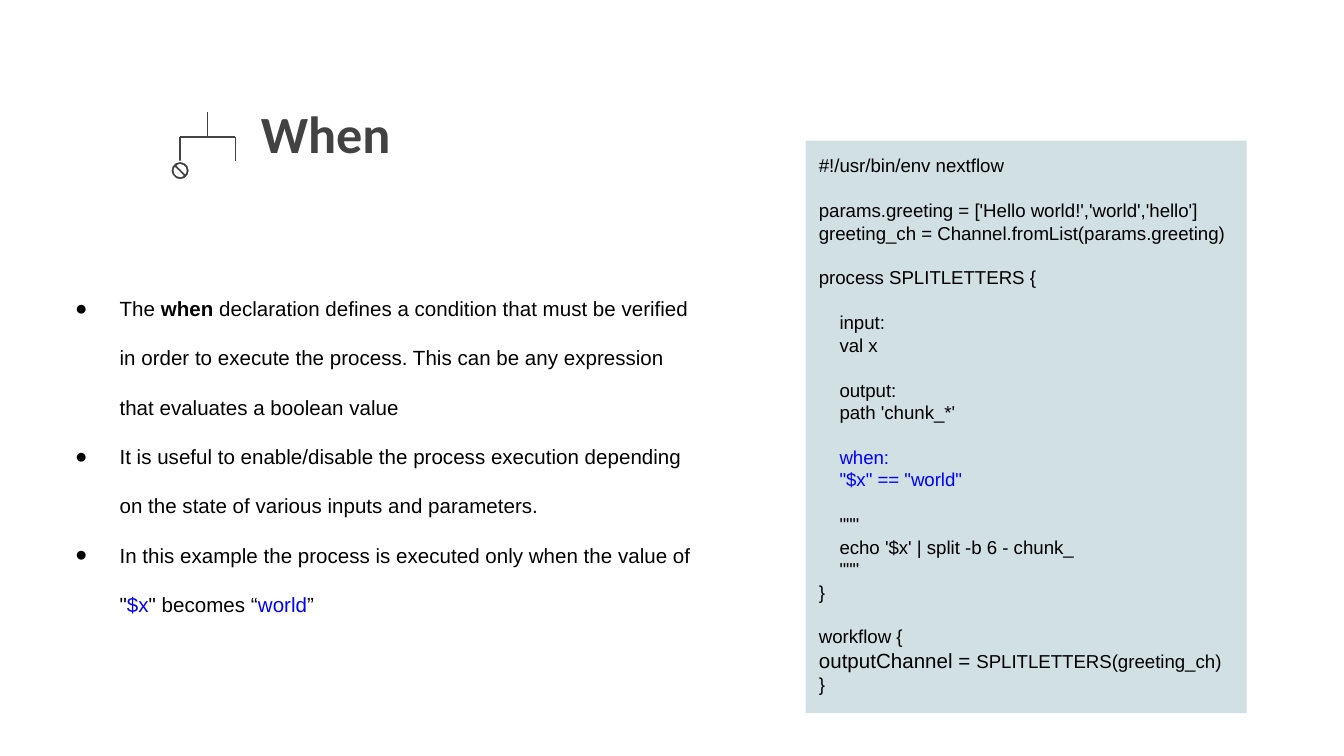
from lxml import etree
from pptx import Presentation
from pptx.dml.color import RGBColor
from pptx.enum.shapes import MSO_CONNECTOR, MSO_SHAPE
from pptx.enum.text import MSO_ANCHOR, MSO_AUTO_SIZE, PP_ALIGN
from pptx.oxml.ns import qn
from pptx.util import Pt

RECT, NO_SMOKING = MSO_SHAPE.RECTANGLE, MSO_SHAPE.NO_SYMBOL
STRAIGHT = MSO_CONNECTOR.STRAIGHT
TOP, LEFT, NO_FIT = MSO_ANCHOR.TOP, PP_ALIGN.LEFT, MSO_AUTO_SIZE.NONE

BLACK = RGBColor(0x00, 0x00, 0x00)
WHITE = RGBColor(0xFF, 0xFF, 0xFF)
BLUE = RGBColor(0x00, 0x00, 0xFF)
GREY = RGBColor(0x42, 0x42, 0x42)
PANEL = RGBColor(0xD0, 0xE0, 0xE3)

TITLE = "When"

# Each bullet is a list of (text, colour, bold)
BULLETS = [
    [("The ", BLACK, False), ("when", BLACK, True),
     (" declaration defines a condition that must be verified in order to execute "
      "the process. This can be any expression that evaluates a boolean value", BLACK, False)],
    [("It is useful to enable/disable the process execution depending on the state "
      "of various inputs and parameters.", BLACK, False)],
    [("In this example the process is executed only when the value of \"", BLACK, False),
     ("$x", BLUE, False), ("\" becomes “", BLACK, False),
     ("world", BLUE, False), ("”", BLACK, False)],
]

CODE = '''#!/usr/bin/env nextflow

params.greeting = ['Hello world!','world','hello']
greeting_ch = Channel.fromList(params.greeting)

process SPLITLETTERS {

    input:
    val x

    output:
    path 'chunk_*'

    when:
    "$x" == "world"

    """
    echo '$x' | split -b 6 - chunk_
    """
}

workflow {
outputChannel = SPLITLETTERS(greeting_ch)
}'''.split("\n")
BLUE_LINES = ("    when:", '    "$x" == "world"')
LARGE_START = "outputChannel = "

# Branch icon: stem over a bar with two legs
BRANCH_LEFT, BRANCH_RIGHT = 96.5, 126
BRANCH_TOP, BRANCH_BAR, BRANCH_FOOT = 60, 73.4, 86.4
SIGN = 10


def place(sp, left, top, width, height):
    """Position a shape and give its text frame the common layout."""
    sp.left, sp.top, sp.width, sp.height = Pt(left), Pt(top), Pt(width), Pt(height)
    tf = sp.text_frame
    tf.margin_left = tf.margin_right = tf.margin_top = tf.margin_bottom = Pt(7.2)
    tf.word_wrap, tf.auto_size, tf.vertical_anchor = True, NO_FIT, TOP
    return tf


def add_run(p, text, size, color, bold=False, name="Arial"):
    r = p.add_run()
    r.text = text
    r.font.size, r.font.name, r.font.bold = Pt(size), name, bold
    r.font.color.rgb = color


def add_paragraph(tf, first, spacing=1):
    p = tf.paragraphs[0] if first else tf.add_paragraph()
    p.alignment, p.line_spacing = LEFT, spacing
    p.space_before = p.space_after = Pt(0)
    return p


def add_bullet(p):
    pPr = p._p.get_or_add_pPr()
    pPr.set("marL", str(Pt(36)))
    pPr.set("indent", str(-Pt(23.8)))
    color = etree.SubElement(pPr, qn("a:buClr"))
    etree.SubElement(color, qn("a:srgbClr"), val=str(BLACK))
    etree.SubElement(pPr, qn("a:buFont"), typeface="Arial")
    etree.SubElement(pPr, qn("a:buChar"), char="●")


prs = Presentation()
prs.slide_width, prs.slide_height = Pt(720), Pt(405)
slide = prs.slides.add_slide(prs.slide_layouts[1])
shapes = slide.shapes

tf = place(shapes.title, 132.5, 46.8, 299.5, 78.5)
add_run(add_paragraph(tf, True), TITLE, 28, GREY, True, "Calibri")

tf = place(slide.placeholders[1], 20.9, 138.2, 357.8, 228.2)
for i, parts in enumerate(BULLETS):
    p = add_paragraph(tf, i == 0, 2.0)
    add_bullet(p)
    for text, color, bold in parts:
        add_run(p, text, 11, color, bold)

panel = shapes.add_shape(RECT, 0, 0, 0, 0)
panel.shadow.inherit = False
panel.fill.solid()
panel.fill.fore_color.rgb = PANEL
panel.line.fill.background()
tf = place(panel, 431.6, 75.4, 236.2, 306.7)
for i, line in enumerate(CODE):
    p = add_paragraph(tf, i == 0)
    if not line:
        etree.SubElement(p._p, qn("a:endParaRPr"), sz="1000")
        continue
    if line.startswith(LARGE_START):
        add_run(p, LARGE_START, 11, BLACK)
        line = line[len(LARGE_START):]
    add_run(p, line, 10, BLUE if line in BLUE_LINES else BLACK)

middle = (BRANCH_LEFT + BRANCH_RIGHT) / 2
for x1, y1, x2, y2 in [
    (BRANCH_LEFT, BRANCH_BAR, BRANCH_LEFT, BRANCH_FOOT),
    (BRANCH_LEFT, BRANCH_BAR, BRANCH_RIGHT, BRANCH_BAR),
    (BRANCH_RIGHT, BRANCH_BAR, BRANCH_RIGHT, BRANCH_FOOT),
    (middle, BRANCH_TOP, middle, BRANCH_BAR),
]:
    branch = shapes.add_connector(STRAIGHT, Pt(x1), Pt(y1), Pt(x2), Pt(y2))
    branch.line.color.rgb = GREY
    branch.line.width = Pt(0.75)
    etree.SubElement(branch._element.spPr, qn("a:effectLst"))

sign = shapes.add_shape(NO_SMOKING, Pt(BRANCH_LEFT - SIGN / 2), Pt(BRANCH_FOOT),
                        Pt(SIGN), Pt(SIGN))
sign.adjustments[0] = 0.19
sign.shadow.inherit = False
sign.fill.solid()
sign.fill.fore_color.rgb = GREY
sign.line.color.rgb = WHITE
sign.line.width = Pt(0.75)

prs.save("out.pptx")
